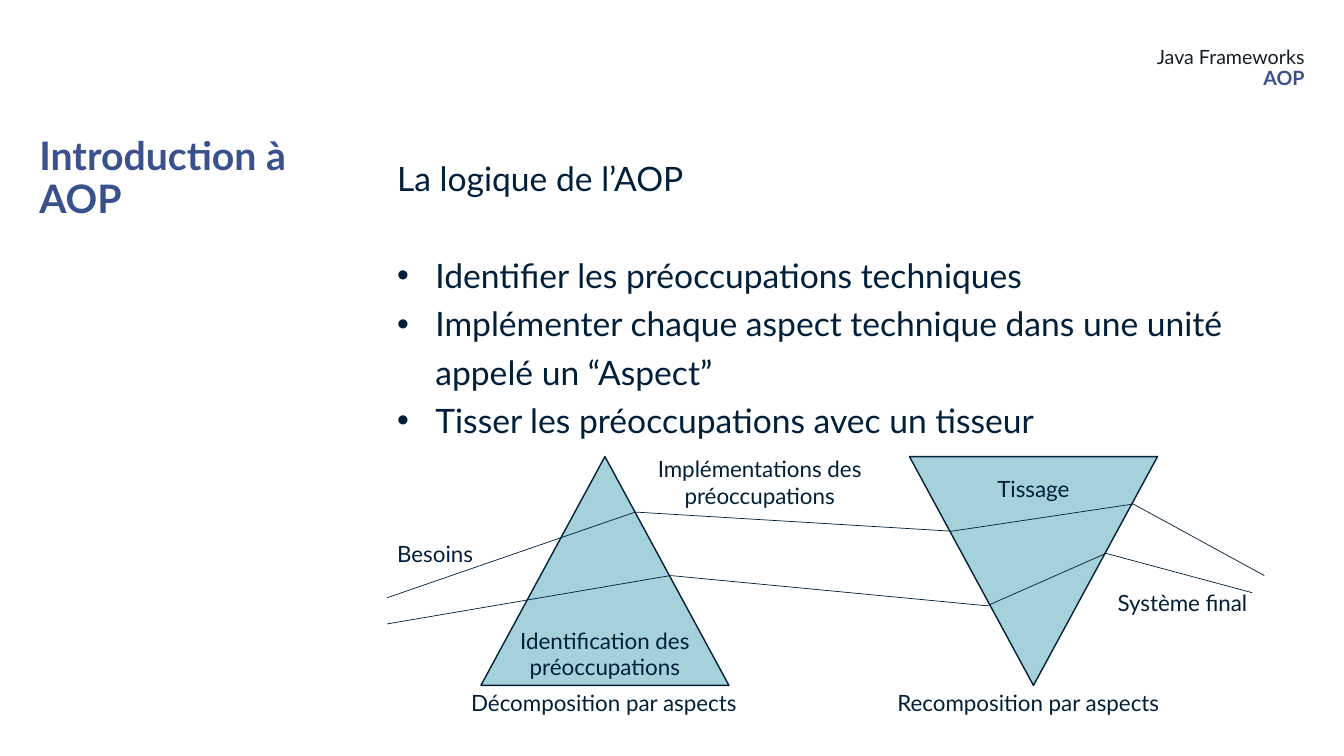
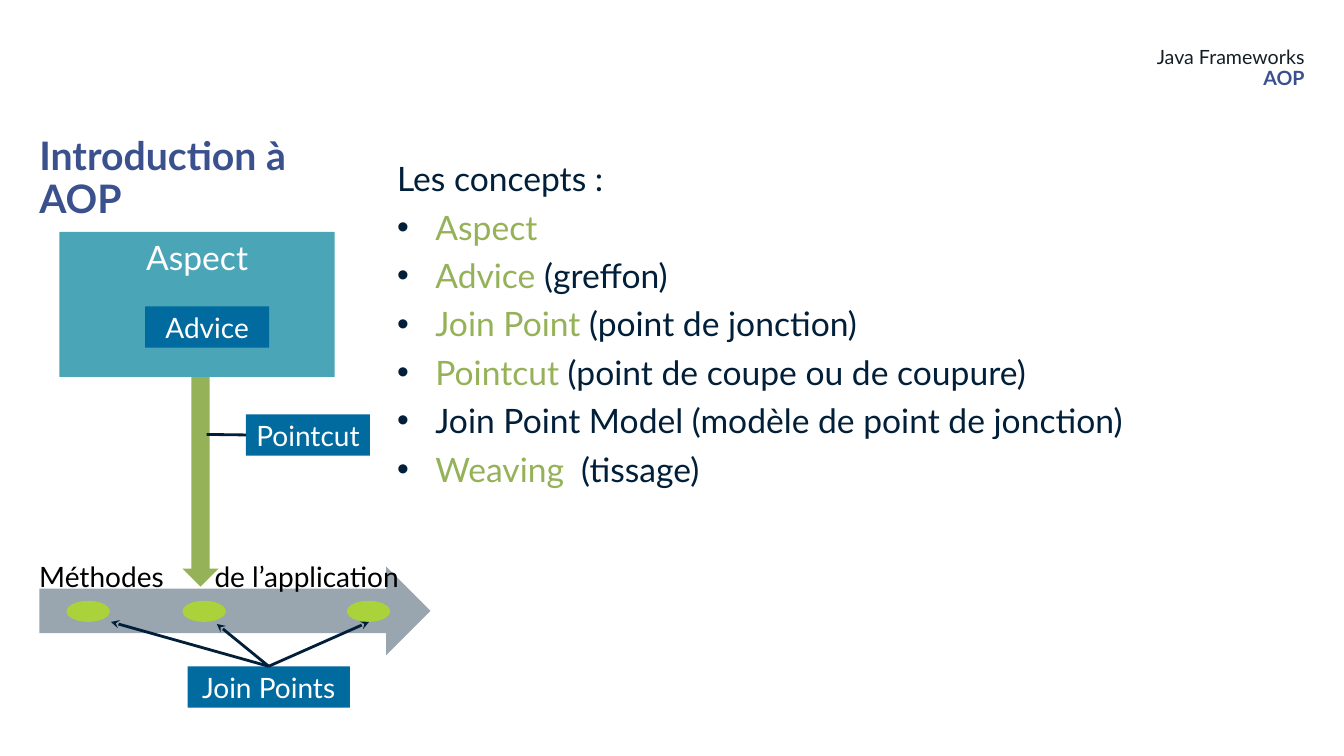
from itertools import pairwise

from lxml import etree
from pptx import Presentation
from pptx.dml.color import RGBColor
from pptx.enum.shapes import MSO_CONNECTOR, MSO_SHAPE
from pptx.enum.text import MSO_ANCHOR, PP_ALIGN
from pptx.oxml.ns import qn
from pptx.util import Inches, Pt

LEFT, MID, RIGHT = PP_ALIGN.LEFT, PP_ALIGN.CENTER, PP_ALIGN.RIGHT
TOP, CENTER, BASE = MSO_ANCHOR.TOP, MSO_ANCHOR.MIDDLE, MSO_ANCHOR.BOTTOM
RECT, OVAL = MSO_SHAPE.RECTANGLE, MSO_SHAPE.OVAL
DOWN, NEXT = MSO_SHAPE.DOWN_ARROW, MSO_SHAPE.RIGHT_ARROW
PEAK = MSO_SHAPE.ISOSCELES_TRIANGLE
LINE = MSO_CONNECTOR.STRAIGHT

FONT = "Lato"
NAVY, TITLE, DARK = "011F39", "3B518E", "141E26"
TEAL, BLUE, GREEN, LIME = "4AA5B7", "016B9F", "95B258", "AAD23B"
WHITE, BLACK = "FFFFFF", "000000"
hue = RGBColor.from_string


def write(item, text, size, color=NAVY, align=LEFT, anchor=TOP,
          bold=False, space=None, inset=True):
    frame = item.text_frame
    frame.word_wrap = True
    frame.vertical_anchor = anchor
    if not inset:
        frame.margin_left = frame.margin_right = 0
        frame.margin_top = frame.margin_bottom = 0
    frame.text = text
    for para in frame.paragraphs:
        para.alignment = align
        if space:
            para.line_spacing = space
        for run in para.runs:
            font = run.font
            font.name, font.size, font.bold = FONT, Pt(size), bold
            font.color.rgb = hue(color)
    return frame.paragraphs


def draw(slide, kind, box, color, alpha=None):
    item = slide.shapes.add_shape(kind, *map(Inches, box))
    item.shadow.inherit = False
    item.fill.solid()
    item.fill.fore_color.rgb = hue(color)
    item.line.fill.background()
    if alpha:
        tint = item.fill._xPr.find(".//" + qn("a:srgbClr"))
        etree.SubElement(tint, qn("a:alpha")).set("val", str(alpha * 1000))
    return item


deck = Presentation()
deck.slide_width, deck.slide_height = Inches(13.33), Inches(7.5)

# Shared title, header and body; each bullet is a green term and a navy note
pages = [
    ("La logique de l’AOP", 34.6, [
        ("", "Identifier les préoccupations techniques"),
        ("", "Implémenter chaque aspect technique dans une unité "
             "appelé un “Aspect”"),
        ("", "Tisser les préoccupations avec un tisseur"),
    ]),
    ("Les concepts :", 0, [
        ("Aspect", ""),
        ("Advice", " (greffon)"),
        ("Join Point", " (point de jonction)"),
        ("Pointcut", " (point de coupe ou de coupure)"),
        ("", "Join Point Model (modèle de point de jonction)"),
        ("Weaving", "  (tissage)"),
    ]),
]
slides = []
for lead, gap, points in pages:
    slide = deck.slides.add_slide(deck.slide_layouts[6])
    slides.append(slide)
    add = slide.shapes.add_textbox

    body = add(Inches(3.84), Inches(1.44), Inches(9.11), Inches(3.93))
    lines = [lead] + [term or note for term, note in points]
    paras = write(body, "\n".join(lines), 24, space=1.2)
    paras[1].space_before = Pt(gap)
    for para, (term, note) in zip(paras[1:], points):
        props = para._p.get_or_add_pPr()
        props.set("marL", str(Inches(0.38)))
        props.set("indent", str(-Inches(0.38)))
        tint = etree.SubElement(props, qn("a:buClr"))
        etree.SubElement(tint, qn("a:srgbClr")).set("val", NAVY)
        etree.SubElement(props, qn("a:buFont")).set("typeface", "Arial")
        etree.SubElement(props, qn("a:buChar")).set("char", "•")
        if term:
            para.runs[0].font.color.rgb = hue(GREEN)
        if term and note:
            run = para.add_run()
            run.text = note
            run.font.name, run.font.size = FONT, Pt(24)
            run.font.color.rgb = hue(NAVY)

    title = add(Inches(0.39), Inches(1.36), Inches(3.12), Inches(0.9))
    write(title, "Introduction à AOP", 28, TITLE,
          bold=True, space=0.9, inset=False)
    head = add(Inches(4.18), Inches(0.47), Inches(8.76), Inches(0.59))
    paras = write(head, "Java Frameworks\nAOP", 14, DARK, RIGHT,
                  space=0.9, inset=False)
    topic = paras[1].runs[0].font
    topic.bold = True
    topic.color.rgb = hue(TITLE)
logic, ideas = slides

# Prisms
for left, turn in ((4.77, 0), (9.02, 180)):
    prism = draw(logic, PEAK, (left, 4.53, 2.46, 2.27), TEAL, 50)
    prism.rotation = turn
    prism.line.color.rgb = hue(NAVY)
    prism.line.width = Pt(1)

# Concept blocks
aspect = draw(ideas, RECT, (0.59, 2.3, 2.73, 1.44), TEAL)
write(aspect, "Aspect", 24, WHITE, MID)
draw(ideas, DOWN, (1.81, 3.74, 0.36, 2.08), GREEN)
draw(ideas, NEXT, (0.39, 5.62, 3.88, 0.88), NAVY, 40)
for left in (0.66, 1.81, 3.44):
    draw(ideas, OVAL, (left, 5.96, 0.43, 0.21), LIME)
tags = {}
for name, left, top, width in (
    ("Advice", 1.44, 3.04, 1.23),
    ("Pointcut", 2.44, 4.11, 1.23),
    ("Join Points", 1.86, 6.61, 1.61),
):
    tags[name] = draw(ideas, RECT, (left, top, width, 0.41), BLUE)
    write(tags[name], name, 20, WHITE, MID, CENTER)

# Labels
for slide, text, box, size, color, align in (
    (logic, "Tissage", (9.02, 4.53, 2.46, 0.5), 16, NAVY, MID),
    (logic, "Identification des préoccupations",
     (4.77, 6.16, 2.46, 0.64), 16, NAVY, MID),
    (logic, "Besoins", (3.84, 5.17, 1.21, 0.5), 16, NAVY, LEFT),
    (logic, "Implémentations des préoccupations",
     (6.21, 4.46, 2.65, 0.64), 16, NAVY, MID),
    (logic, "Système final", (10.88, 5.66, 1.59, 0.5), 16, NAVY, RIGHT),
    (logic, "Décomposition par aspects",
     (4.49, 6.65, 3, 0.5), 16, NAVY, MID),
    (logic, "Recomposition par aspects",
     (8.7, 6.65, 3, 0.5), 16, NAVY, MID),
    (ideas, "Méthodes", (0.29, 5.43, 1.6, 0.5), 20, BLACK, LEFT),
    (ideas, "de l’application", (2.03, 5.43, 2.2, 0.5), 20, BLACK, LEFT),
):
    label = slide.shapes.add_textbox(*map(Inches, box))
    write(label, text, size, color, align, BASE)

# Rays through the prisms, then links from the tags
rays = (
    ((3.84, 5.93), (6.3, 5.08), (9.44, 5.27), (11.24, 5), (12.54, 5.71)),
    ((3.84, 6.19), (6.65, 5.71), (9.79, 6.01), (10.97, 5.49), (12.42, 5.88)),
)
links = [(logic, start, end, 0.5, None, 0)
         for ray in rays for start, end in pairwise(ray)]
links.append((ideas, (2.44, 4.31), (2.05, 4.31), 2, "Pointcut", 1))
links += [(ideas, (2.67, 6.61), end, 2, "Join Points", 0)
          for end in ((1.1, 6.17), (2.15, 6.19), (3.66, 6.17))]
for slide, start, end, width, tag, side in links:
    link = slide.shapes.add_connector(LINE, *map(Inches, start + end))
    link.line.color.rgb = hue(NAVY)
    link.line.width = Pt(width)
    if tag:
        link.begin_connect(tags[tag], side)
    if tag == "Join Points":
        stroke = link.line._get_or_add_ln()
        etree.SubElement(stroke, qn("a:tailEnd")).set("type", "stealth")
    etree.SubElement(link._element.spPr, qn("a:effectLst"))

deck.save("out.pptx")
